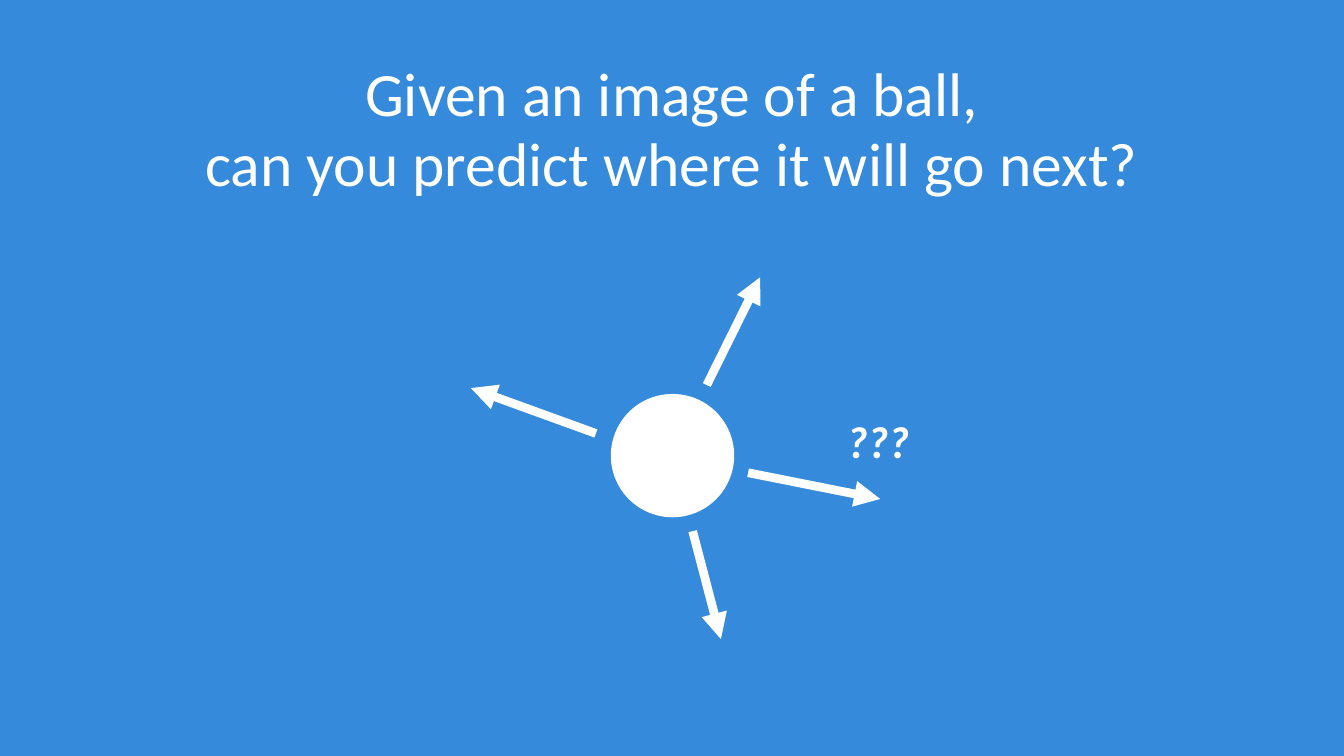
from dataclasses import dataclass

from lxml.etree import SubElement
from pptx import Presentation
from pptx.dml.color import RGBColor
from pptx.enum.shapes import MSO_CONNECTOR as Connector, MSO_SHAPE as Shape
from pptx.enum.text import PP_ALIGN as Align
from pptx.oxml.ns import qn
from pptx.util import Inches, Pt


@dataclass(frozen=True)
class Theme:
    sky: RGBColor = RGBColor(0x35, 0x8A, 0xDB)
    white: RGBColor = RGBColor(0xFF, 0xFF, 0xFF)
    font: str = "Calibri"
    question_size: float = 44
    question_leading: float = 49.9
    unknown_size: float = 32
    outline: float = 1
    arrow: float = 6.2


THEME = Theme()
BALL_CENTER = (6.67, 4.52)
BALL_DIAMETER = 1.21
ARROWS = [
    ((7.01, 3.82), (7.54, 2.75)),
    ((7.42, 4.69), (8.73, 4.95)),
    ((6.87, 5.27), (7.15, 6.34)),
    ((5.91, 4.3), (4.67, 3.85)),
]


def add_text(slide, text, left, top, width, height, *, size, align=Align.LEFT,
             leading=None, bold=False, italic=False, wrap=True):
    box = slide.shapes.add_textbox(Inches(left), Inches(top), Inches(width), Inches(height))
    frame = box.text_frame
    frame.word_wrap = wrap
    frame.margin_left = frame.margin_right = frame.margin_bottom = 0
    frame.margin_top = Inches(0.01)
    frame.text = text
    frame.paragraphs[0].space_before = Pt(1)
    for line in frame.paragraphs:
        line.alignment = align
        if leading:
            line.line_spacing = Pt(leading)
        for run in line.runs:
            run.font.name = THEME.font
            run.font.size = Pt(size)
            run.font.bold = bold
            run.font.italic = italic
            run.font.color.rgb = THEME.white


def add_ball(slide, center, diameter):
    left, top = (Inches(middle - diameter / 2) for middle in center)
    ball = slide.shapes.add_shape(Shape.OVAL, left, top, Inches(diameter), Inches(diameter))
    ball.shadow.inherit = False
    ball.fill.solid()
    ball.fill.fore_color.rgb = THEME.white
    ball.line.color.rgb = THEME.white
    ball.line.width = Pt(THEME.outline)


def add_arrow(slide, start, tip):
    ends = [Inches(value) for value in start + tip]
    arrow = slide.shapes.add_connector(Connector.STRAIGHT, *ends)
    arrow.line.color.rgb = THEME.white
    arrow.line.width = Pt(THEME.arrow)
    SubElement(arrow.line._get_or_add_ln(), qn("a:tailEnd"), type="triangle", w="med", len="med")
    SubElement(arrow._element.spPr, qn("a:effectLst"))


def main():
    deck = Presentation()
    deck.slide_width, deck.slide_height = Inches(13.33), Inches(7.5)
    slide = deck.slides.add_slide(deck.slide_layouts[6])
    slide.background.fill.solid()
    slide.background.fill.fore_color.rgb = THEME.sky

    add_ball(slide, BALL_CENTER, BALL_DIAMETER)
    for start, tip in ARROWS:
        add_arrow(slide, start, tip)
    add_text(slide, "???", 8.4, 4.09, 0.65, 0.56, size=THEME.unknown_size,
             bold=True, italic=True, wrap=False)
    add_text(slide, "Given an image of a ball,\ncan you predict where it will go next?",
             2, 0.58, 9.33, 1.41, size=THEME.question_size, align=Align.CENTER,
             leading=THEME.question_leading)
    deck.save("out.pptx")


if __name__ == "__main__":
    main()
